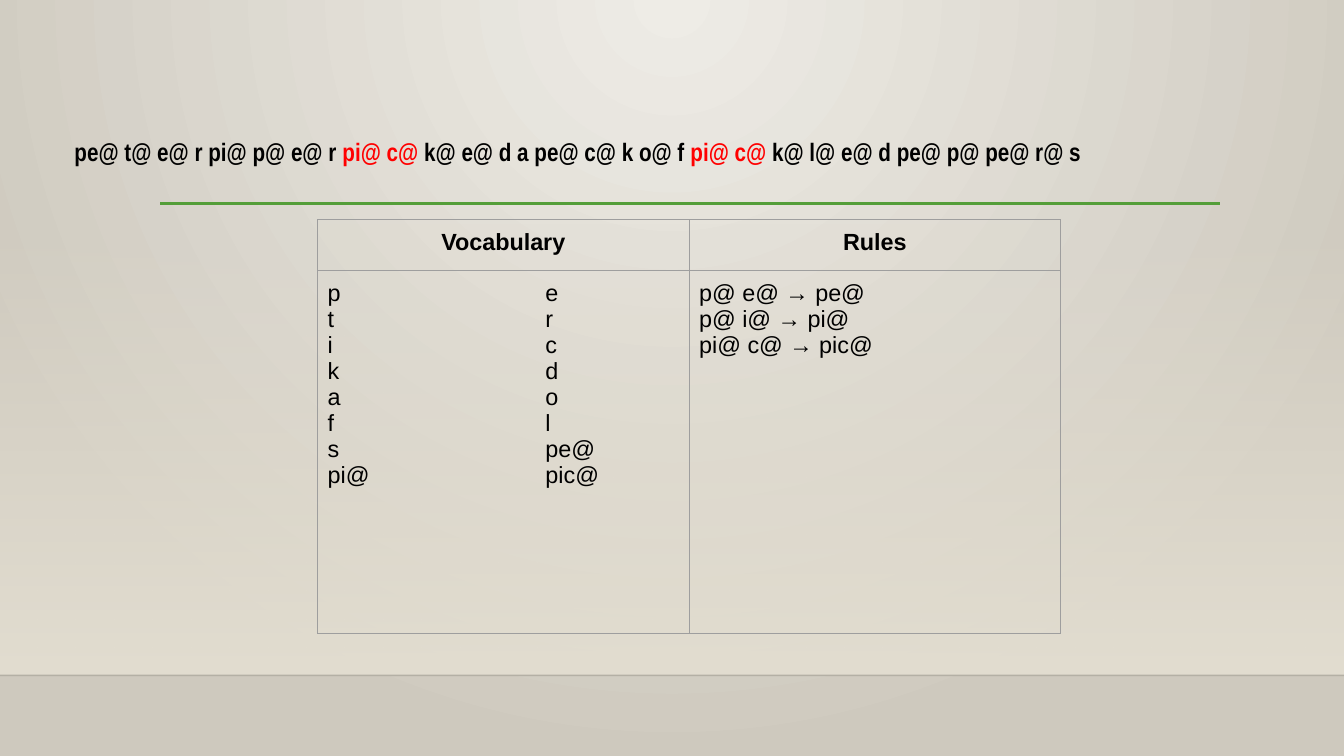
from dataclasses import dataclass

from lxml import etree
from pptx import Presentation
from pptx.dml.color import RGBColor
from pptx.enum import shapes, text
from pptx.oxml import ns
from pptx.util import Inches, Pt


@dataclass(frozen=True)
class Theme:
    ink: str = "000000"
    highlight: str = "FF0000"
    accent: str = "549E39"
    border: str = "9E9E9E"
    floor: str = "000001"
    band: str = "E3DED1"
    glow: str = "EEECE6"
    edge: str = "CEC9BE"
    body_font: str = "Arial"
    title_font: str = "Arial Narrow"
    title_size: float = 18
    table_size: float = 16.7
    border_width: float = 0.75


@dataclass(frozen=True)
class Rule:
    left: float
    right: float
    y: float
    color: str
    width: float
    opacity: int = 100


@dataclass(frozen=True)
class Column:
    heading: str
    lines: tuple[str, ...]


THEME = Theme()
RULES = (
    Rule(0, 13.33, 6.7, THEME.floor, 1, 20),
    Rule(1.59, 12.1, 2.02, THEME.accent, 2.5),
)
SENTENCE = (
    ("pe@ t@ e@ r pi@ p@ e@ r ", THEME.ink),
    ("pi@ c@", THEME.highlight),
    (" k@ e@ d a pe@ c@ k o@ f ", THEME.ink),
    ("pi@ c@", THEME.highlight),
    (" k@ l@ e@ d pe@ p@ pe@ r@ s", THEME.ink),
)
COLUMNS = (
    Column("Vocabulary", ("p\te", "t\tr", "i\tc", "k\td", "a\to", "f\tl", "s\tpe@", "pi@\tpic@")),
    Column("Rules", ("p@ e@ → pe@", "p@ i@ → pi@", "pi@ c@ → pic@")),
)
ROW_HEIGHTS = (0.5, 3.6)
TAB_STOP = 2.16


def add_child(parent, tag: str, **attrs):
    return etree.SubElement(parent, ns.qn(tag), {k: str(v) for k, v in attrs.items()})


def set_alpha(element, percent: int) -> None:
    for color in element.iter(ns.qn("a:srgbClr")):
        add_child(color, "a:alpha", val=percent * 1000)


def set_stops(fill, start: str, end: str) -> None:
    fill.gradient()
    for stop, color in zip(fill.gradient_stops, (start, end)):
        stop.color.rgb = RGBColor.from_string(color)
    fill.gradient_stops[0].position = 0
    fill.gradient_stops[1].position = 1


def paint_background(slide) -> None:
    set_stops(slide.background.fill, THEME.glow, THEME.edge)
    grad = next(slide.element.iter(ns.qn("a:gradFill")))
    lin = grad.find(ns.qn("a:lin"))
    if lin is not None:
        grad.remove(lin)
    circle = add_child(grad, "a:path", path="circle")
    add_child(circle, "a:fillToRect", l=43000, t=0, r=43000, b=100000)


def add_band(slide) -> None:
    sp = slide.shapes.add_shape(
        shapes.MSO_SHAPE.RECTANGLE, Inches(0), Inches(2.21), Inches(13.33), Inches(4.49)
    )
    sp.shadow.inherit = False
    sp.line.fill.background()
    set_stops(sp.fill, THEME.band, THEME.band)
    sp.fill.gradient_angle = 270
    set_alpha(next(sp.element.iter(ns.qn("a:gs"))), 0)


def add_rule(slide, rule: Rule) -> None:
    line = slide.shapes.add_connector(
        shapes.MSO_CONNECTOR.STRAIGHT,
        Inches(rule.left), Inches(rule.y), Inches(rule.right), Inches(rule.y),
    )
    line.line.color.rgb = RGBColor.from_string(rule.color)
    line.line.width = Pt(rule.width)
    sp_pr = line.element.spPr
    set_alpha(sp_pr, rule.opacity)
    add_child(sp_pr, "a:effectLst")


def style_run(r, font: str, size: float, color: str, bold: bool) -> None:
    r.font.name = font
    r.font.size = Pt(size)
    r.font.bold = bold
    r.font.color.rgb = RGBColor.from_string(color)


def add_sentence(slide) -> None:
    sp = slide.shapes.add_textbox(Inches(0.64), Inches(1.3), Inches(10.55), Inches(0.4))
    tf = sp.text_frame
    tf.word_wrap = True
    p = tf.paragraphs[0]
    for words, color in SENTENCE:
        r = p.add_run()
        r.text = words
        style_run(r, THEME.title_font, THEME.title_size, color, True)


def add_borders(cell) -> None:
    tc_pr = cell._tc.get_or_add_tcPr()
    for index, side in enumerate(("L", "R", "T", "B")):
        ln = etree.Element(ns.qn(f"a:ln{side}"), w=str(Pt(THEME.border_width)))
        add_child(add_child(ln, "a:solidFill"), "a:srgbClr", val=THEME.border)
        tc_pr.insert(index, ln)


def fill_cell(cell, lines: tuple[str, ...], heading: bool) -> None:
    cell.fill.background()
    cell.margin_left = cell.margin_right = Inches(0.1)
    cell.margin_top = cell.margin_bottom = Inches(0.1)
    add_borders(cell)
    tf = cell.text_frame
    tf.text = "\n".join(lines)
    for p in tf.paragraphs:
        p.alignment = text.PP_ALIGN.CENTER if heading else text.PP_ALIGN.LEFT
        if "\t" in p.text:
            tabs = add_child(p._p.get_or_add_pPr(), "a:tabLst")
            add_child(tabs, "a:tab", pos=Inches(TAB_STOP), algn="l")
        for r in p.runs:
            style_run(r, THEME.body_font, THEME.table_size, THEME.ink, heading)


def add_merge_table(slide) -> None:
    table = slide.shapes.add_table(
        len(ROW_HEIGHTS), len(COLUMNS),
        Inches(3.15), Inches(2.18), Inches(7.37), Inches(sum(ROW_HEIGHTS)),
    ).table
    table.first_row = table.horz_banding = False
    for row, height in zip(table.rows, ROW_HEIGHTS):
        row.height = Inches(height)
    for index, column in enumerate(COLUMNS):
        fill_cell(table.cell(0, index), (column.heading,), True)
        fill_cell(table.cell(1, index), column.lines, False)


def main() -> None:
    prs = Presentation()
    prs.slide_width, prs.slide_height = Inches(13.33), Inches(7.5)
    slide = prs.slides.add_slide(prs.slide_layouts[6])
    paint_background(slide)
    add_band(slide)
    for rule in RULES:
        add_rule(slide, rule)
    add_sentence(slide)
    add_merge_table(slide)
    prs.save("out.pptx")


if __name__ == "__main__":
    main()
